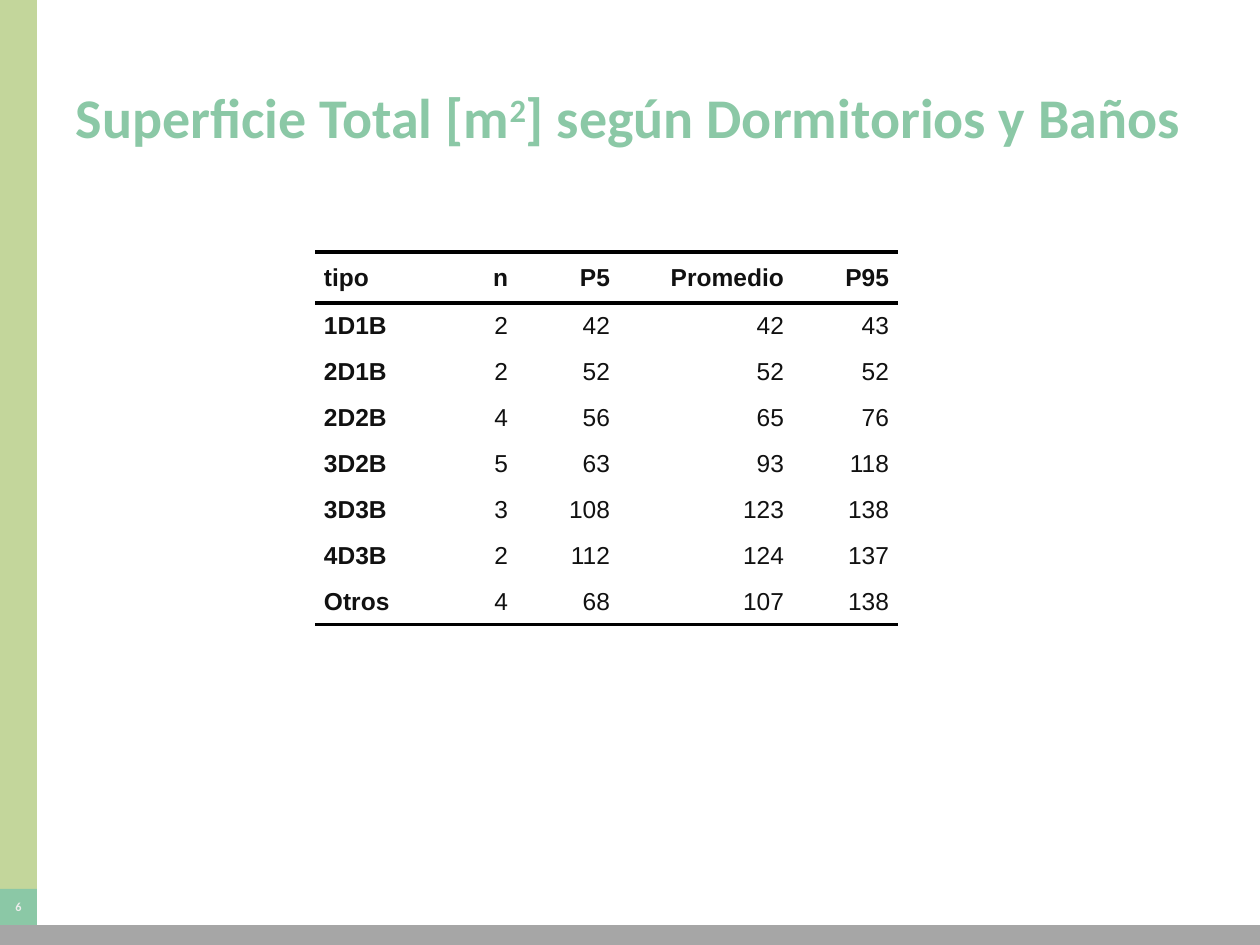
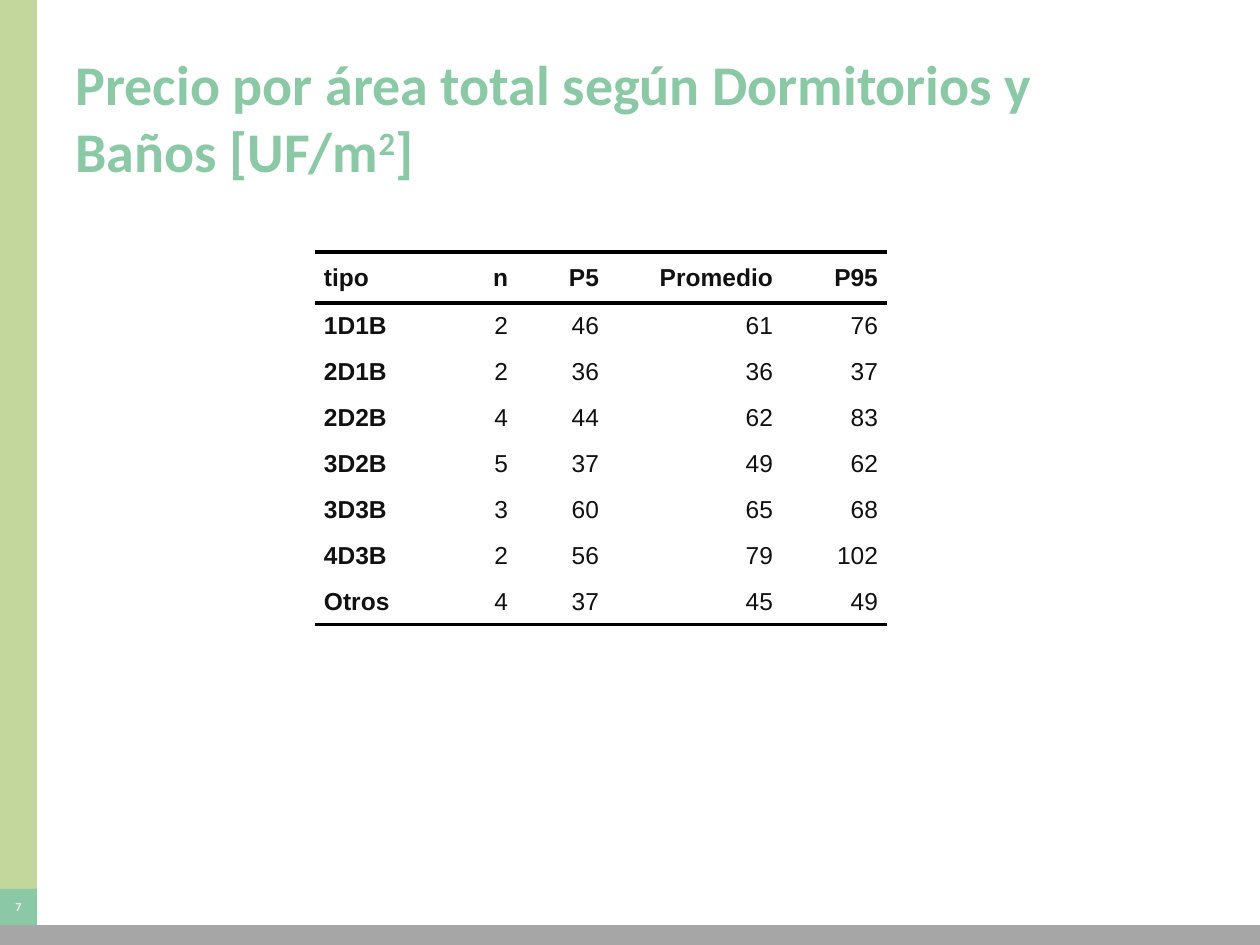
from lxml import etree
from pptx import Presentation
from pptx import util as u
from pptx.dml.color import RGBColor
from pptx.enum import shapes, text
from pptx.oxml.ns import qn

# Shared style
PX = 914400 / 126
SLIDE_WIDTH, SLIDE_HEIGHT = 1260, 945
BAND_WIDTH, PAGE_TOP, FOOTER_TOP = 37, 889, 925
LIME = RGBColor(0xC3, 0xD6, 0x9B)
MINT = RGBColor(0x8B, 0xC8, 0xA6)
GREY = RGBColor(0xA6, 0xA6, 0xA6)
PALE = RGBColor(0xEC, 0xEC, 0xEC)
INK = RGBColor(0x11, 0x11, 0x11)
RULE_COLOUR = RGBColor(0, 0, 0)
TITLE_FONT, TABLE_FONT = "Calibri", "Arial"
NO_STYLE_NO_GRID = "{2D5ABB26-0587-4C30-8999-92F81FD0307C}"

# Table geometry and contents
TABLE_LEFT, TABLE_TOP = 315, 252
HEADER_HEIGHT, ROW_HEIGHT, CELL_INDENT = 51, 46, 9
HEADERS = ("tipo", "n", "P5", "Promedio", "P95")
UNIT_COUNTS = {"1D1B": 2, "2D1B": 2, "2D2B": 4, "3D2B": 5,
               "3D3B": 3, "4D3B": 2, "Otros": 4}
AREAS = [(42, 42, 43), (52, 52, 52), (56, 65, 76), (63, 93, 118),
         (108, 123, 138), (112, 124, 137), (68, 107, 138)]
PRICES = [(46, 61, 76), (36, 36, 37), (44, 62, 83), (37, 49, 62),
          (60, 65, 68), (56, 79, 102), (37, 45, 49)]


def px(length):
    return u.Emu(round(length * PX))


def format_run(run, font, size, colour, bold=True):
    run.font.name = font
    run.font.size = u.Pt(size)
    run.font.color.rgb = colour
    run.font.bold = bold


def add_block(slide, left, top, width, height, colour):
    shape = slide.shapes.add_shape(shapes.MSO_SHAPE.RECTANGLE,
                                   px(left), px(top), px(width), px(height))
    shape.shadow.inherit = False
    shape.fill.solid()
    shape.fill.fore_color.rgb = colour
    shape.line.fill.background()
    return shape


def add_bands(slide, page_number):
    """Side band, page number box and footer band."""
    add_block(slide, 0, 0, BAND_WIDTH, PAGE_TOP, LIME)
    page_box = add_block(slide, 0, PAGE_TOP, BAND_WIDTH,
                         FOOTER_TOP - PAGE_TOP, MINT)
    add_block(slide, 0, FOOTER_TOP, SLIDE_WIDTH, SLIDE_HEIGHT - FOOTER_TOP, GREY)

    frame = page_box.text_frame
    frame.margin_left = frame.margin_right = 0
    frame.margin_top = frame.margin_bottom = 0
    frame.vertical_anchor = text.MSO_ANCHOR.MIDDLE
    frame.text = str(page_number)
    paragraph = frame.paragraphs[0]
    paragraph.alignment = text.PP_ALIGN.CENTER
    format_run(paragraph.runs[0], TITLE_FONT, 7, PALE)


def set_title(slide, before, superscript, after):
    title = slide.shapes.title
    title.left, title.top, title.width, title.height = map(px, (63, 38, 1134, 157))
    frame = title.text_frame
    frame.word_wrap = True
    frame.auto_size = text.MSO_AUTO_SIZE.NONE
    frame.vertical_anchor = text.MSO_ANCHOR.MIDDLE
    paragraph = frame.paragraphs[0]
    paragraph.alignment = text.PP_ALIGN.LEFT
    for part in (before, superscript, after):
        run = paragraph.add_run()
        run.text = part
        format_run(run, TITLE_FONT, 32, MINT)
    paragraph.runs[1]._r.get_or_add_rPr().set("baseline", "30000")


def add_rule(cell, side):
    """Black 2 pt border; side is lnT or lnB."""
    line = etree.SubElement(cell._tc.get_or_add_tcPr(), qn(f"a:{side}"),
                            w=str(u.Pt(2)))
    fill = etree.SubElement(line, qn("a:solidFill"))
    etree.SubElement(fill, qn("a:srgbClr"), val=str(RULE_COLOUR))


def fill_cell(cell, value, bold, right_aligned):
    cell.margin_left = cell.margin_right = 0
    cell.margin_top = cell.margin_bottom = 0
    cell.vertical_anchor = text.MSO_ANCHOR.MIDDLE
    cell.text = str(value)
    paragraph = cell.text_frame.paragraphs[0]
    paragraph.space_before = paragraph.space_after = u.Pt(2)
    if right_aligned:
        paragraph.alignment = text.PP_ALIGN.RIGHT
    properties = paragraph._p.get_or_add_pPr()
    for margin in ("marL", "marR"):
        properties.set(margin, str(px(CELL_INDENT)))
    properties.set("indent", "0")
    format_run(paragraph.runs[0], TABLE_FONT, 14, INK, bold)


def add_statistics_table(slide, statistics, column_widths):
    rows = [HEADERS] + [(kind, count, *values) for (kind, count), values
                        in zip(UNIT_COUNTS.items(), statistics)]
    row_heights = [HEADER_HEIGHT] + [ROW_HEIGHT] * len(statistics)
    table = slide.shapes.add_table(
        len(rows), len(HEADERS), px(TABLE_LEFT), px(TABLE_TOP),
        px(sum(column_widths)), px(sum(row_heights))).table
    table.horz_banding = False
    table._tbl.tblPr.find(qn("a:tableStyleId")).text = NO_STYLE_NO_GRID

    for column, width in zip(table.columns, column_widths):
        column.width = px(width)
    for row, height in zip(table.rows, row_heights):
        row.height = px(height)
    for row_index, values in enumerate(rows):
        for column_index, value in enumerate(values):
            cell = table.cell(row_index, column_index)
            fill_cell(cell, value, bold=row_index == 0 or column_index == 0,
                      right_aligned=column_index > 0)
            if row_index == 0:
                add_rule(cell, "lnT")
            if row_index in (0, len(rows) - 1):
                add_rule(cell, "lnB")
            cell.fill.background()


def add_statistics_slide(presentation, page_number, title_parts, statistics,
                         column_widths):
    slide = presentation.slides.add_slide(presentation.slide_layouts[5])
    add_bands(slide, page_number)
    set_title(slide, *title_parts)
    add_statistics_table(slide, statistics, column_widths)


def main():
    presentation = Presentation()
    presentation.slide_width = px(SLIDE_WIDTH)
    presentation.slide_height = px(SLIDE_HEIGHT)

    # Floor area
    add_statistics_slide(
        presentation, 6,
        ("Superficie Total [m", "2", "] según Dormitorios y Baños"),
        AREAS, (126, 76, 102, 174, 105))

    # Price per area
    add_statistics_slide(
        presentation, 7,
        ("Precio por área total según Dormitorios y Baños [UF/m", "2", "]"),
        PRICES, (126, 76, 91, 174, 105))

    presentation.save("out.pptx")


if __name__ == "__main__":
    main()
